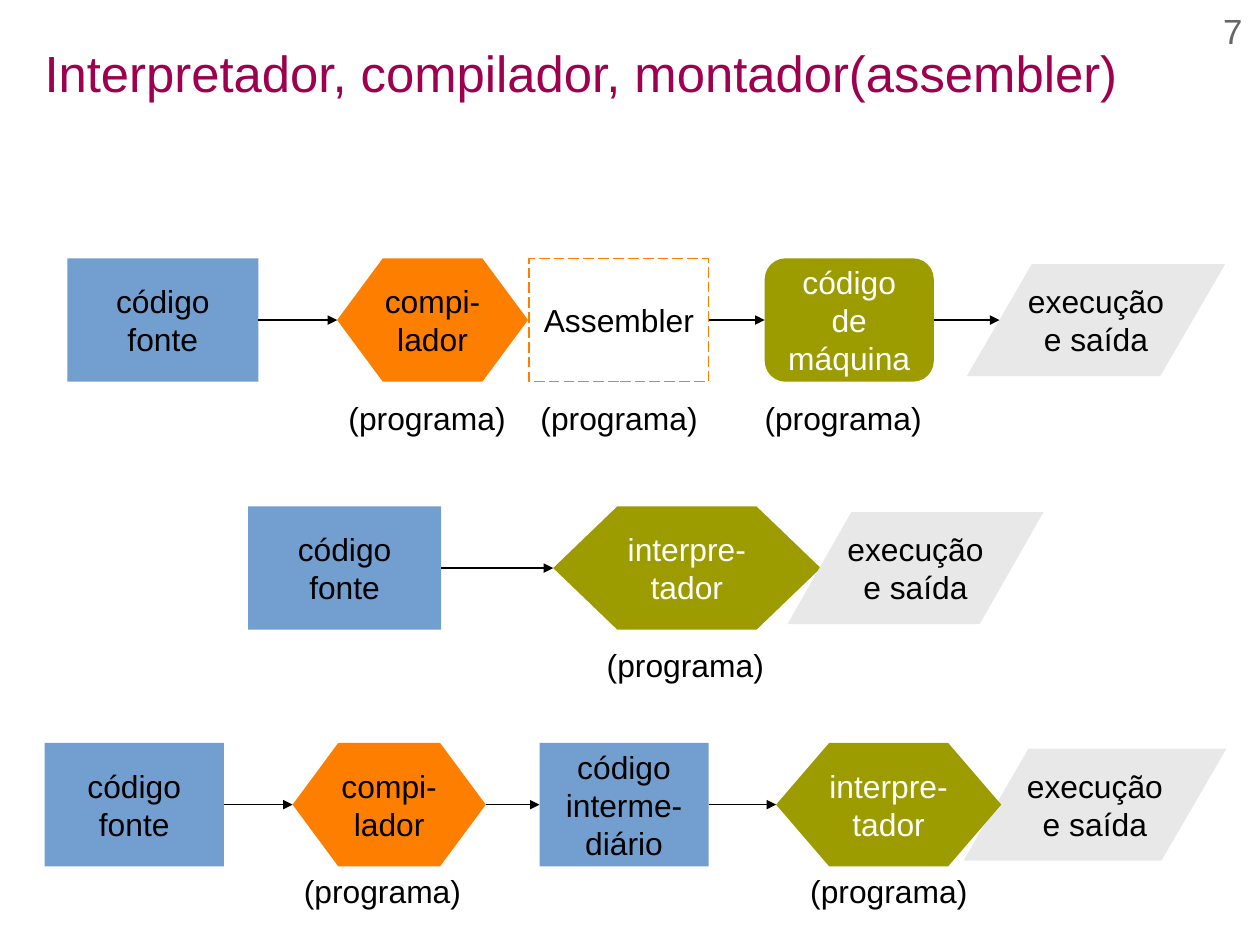
from dataclasses import dataclass

from lxml.etree import SubElement
from pptx import Presentation
from pptx.dml.color import RGBColor
from pptx.enum.dml import MSO_LINE_DASH_STYLE as Dash
from pptx.enum.shapes import MSO_CONNECTOR as Connector, MSO_SHAPE as Shape
from pptx.enum.text import MSO_ANCHOR as Anchor, MSO_AUTO_SIZE as AutoSize, PP_ALIGN as Align
from pptx.oxml.ns import qn
from pptx.util import Inches, Pt

COLORS = {
    "title": "9E004F",
    "number": "666666",
    "black": "000000",
    "white": "FFFFFF",
    "blue": "729FCF",
    "orange": "FE7F00",
    "olive": "9C9C00",
    "gray": "E8E8E8",
}
CM_PER_INCH = 2.54
PAGE_WIDTH = 28 / CM_PER_INCH
PAGE_HEIGHT = 21 / CM_PER_INCH
STEP_HEIGHT = 1.08
OUTPUT_HEIGHT = 0.98
CAPTION_SIZE = (1.58, 0.41)
MIN_ARROW = 0.1


@dataclass(frozen=True)
class Step:
    text: str
    left: float
    width: float
    shape: Shape = Shape.RECTANGLE
    fill: str | None = "blue"
    color: str = "black"
    adjust: float | None = None

    @property
    def height(self) -> float:
        return OUTPUT_HEIGHT if self.shape == Shape.PARALLELOGRAM else STEP_HEIGHT

    @property
    def entry(self) -> float:
        slant = self.adjust * self.height / 2 if self.shape == Shape.PARALLELOGRAM else 0
        return self.left + slant


@dataclass(frozen=True)
class Flow:
    top: float
    steps: tuple[Step, ...]
    caption_top: float
    captions: tuple[float, ...]

    @property
    def middle(self) -> float:
        return self.top + STEP_HEIGHT / 2


def source(left: float, width: float) -> Step:
    return Step("código fonte", left, width)


def compiler(left: float, width: float, adjust: float) -> Step:
    return Step("compi-lador", left, width, Shape.HEXAGON, "orange", adjust=adjust)


def interpreter(left: float, width: float, adjust: float) -> Step:
    return Step("interpre-tador", left, width, Shape.HEXAGON, "olive", "white", adjust)


def output(left: float, width: float, adjust: float) -> Step:
    return Step("execução e saída", left, width, Shape.PARALLELOGRAM, "gray", adjust=adjust)


FLOWS = (
    Flow(2.26, (
        source(0.59, 1.67),
        compiler(2.95, 1.67, 0.37),
        Step("código de máquina", 6.69, 1.48, Shape.ROUNDED_RECTANGLE, "olive", "white", 0.17),
        output(8.46, 2.26, 0.58),
        Step("Assembler", 4.63, 1.57, fill=None),
    ), 3.44, (2.95, 4.63, 6.59)),
    Flow(4.43, (
        source(2.17, 1.69),
        interpreter(4.84, 2.34, 0.52),
        output(6.89, 2.24, 0.57),
    ), 5.6, (5.21,)),
    Flow(6.5, (
        source(0.39, 1.57),
        compiler(2.56, 1.69, 0.37),
        output(8.43, 2.3, 0.58),
        interpreter(6.79, 1.97, 0.43),
        Step("código interme-diário", 4.72, 1.48),
    ), 7.58, (2.56, 6.99)),
)


def rgb(name: str) -> RGBColor:
    return RGBColor.from_string(COLORS[name])


def write(box, text: str, *, size: float = 20, color: str = "black", align=Align.LEFT,
          anchor=Anchor.TOP, wrap: bool = True, inset: tuple[float, float] = (0.1, 0.05),
          spacing: float = 1.0) -> None:
    frame = box.text_frame
    frame.auto_size = AutoSize.NONE
    frame.word_wrap = wrap
    frame.vertical_anchor = anchor
    frame.margin_left = frame.margin_right = Inches(inset[0])
    frame.margin_top = frame.margin_bottom = Inches(inset[1])
    para = frame.paragraphs[0]
    para.alignment = align
    para.line_spacing = spacing
    span = para.add_run()
    span.text = text
    span.font.name = "Arial"
    span.font.size = Pt(size)
    span.font.color.rgb = rgb(color)


def add_text(page, text: str, left: float, top: float, width: float, height: float, **style) -> None:
    box = page.shapes.add_textbox(Inches(left), Inches(top), Inches(width), Inches(height))
    write(box, text, **style)


def add_step(page, step: Step, middle: float) -> None:
    box = page.shapes.add_shape(step.shape, Inches(step.left), Inches(middle - step.height / 2),
                                Inches(step.width), Inches(step.height))
    box.shadow.inherit = False
    if step.adjust is not None:
        box.adjustments[0] = step.adjust
    if step.fill:
        box.fill.solid()
        box.fill.fore_color.rgb = rgb(step.fill)
        box.line.fill.background()
    else:
        box.fill.background()
        box.line.color.rgb = rgb("orange")
        box.line.width = Pt(0.85)
        box.line.dash_style = Dash.LONG_DASH
    write(box, step.text, color=step.color, align=Align.CENTER, anchor=Anchor.MIDDLE)


def add_arrow(page, start: float, end: float, middle: float) -> None:
    arrow = page.shapes.add_connector(Connector.STRAIGHT, Inches(start), Inches(middle),
                                      Inches(end), Inches(middle))
    arrow.line.color.rgb = rgb("black")
    arrow.line.width = Pt(0.85)
    properties = arrow.element.spPr
    SubElement(properties.get_or_add_ln(), qn("a:tailEnd"), type="triangle")
    SubElement(properties, qn("a:effectLst"))


def add_flow(page, flow: Flow) -> None:
    for step in flow.steps:
        add_step(page, step, flow.middle)
    ordered = sorted(flow.steps, key=lambda step: step.left)
    for before, after in zip(ordered, ordered[1:]):
        start = before.left + before.width
        if after.entry - start > MIN_ARROW:
            add_arrow(page, start, after.entry, flow.middle)
    for left in flow.captions:
        add_text(page, "(programa)", left, flow.caption_top, *CAPTION_SIZE, wrap=False)


def main() -> None:
    deck = Presentation()
    deck.slide_width = Inches(PAGE_WIDTH)
    deck.slide_height = Inches(PAGE_HEIGHT)
    page = deck.slides.add_slide(deck.slide_layouts[5])
    title = page.shapes.title
    title.left, title.top = Inches(0.39), Inches(0.2)
    title.width, title.height = Inches(10.24), Inches(0.79)
    write(title, "Interpretador, compilador, montador(assembler)", size=32, color="title",
          anchor=Anchor.MIDDLE, inset=(0, 0), spacing=1.15)
    for flow in FLOWS:
        add_flow(page, flow)
    add_text(page, "7", 8.14, 0.08, 2.73, 0.46, size=22, color="number",
             align=Align.RIGHT, inset=(0, 0))
    deck.save("out.pptx")


if __name__ == "__main__":
    main()
